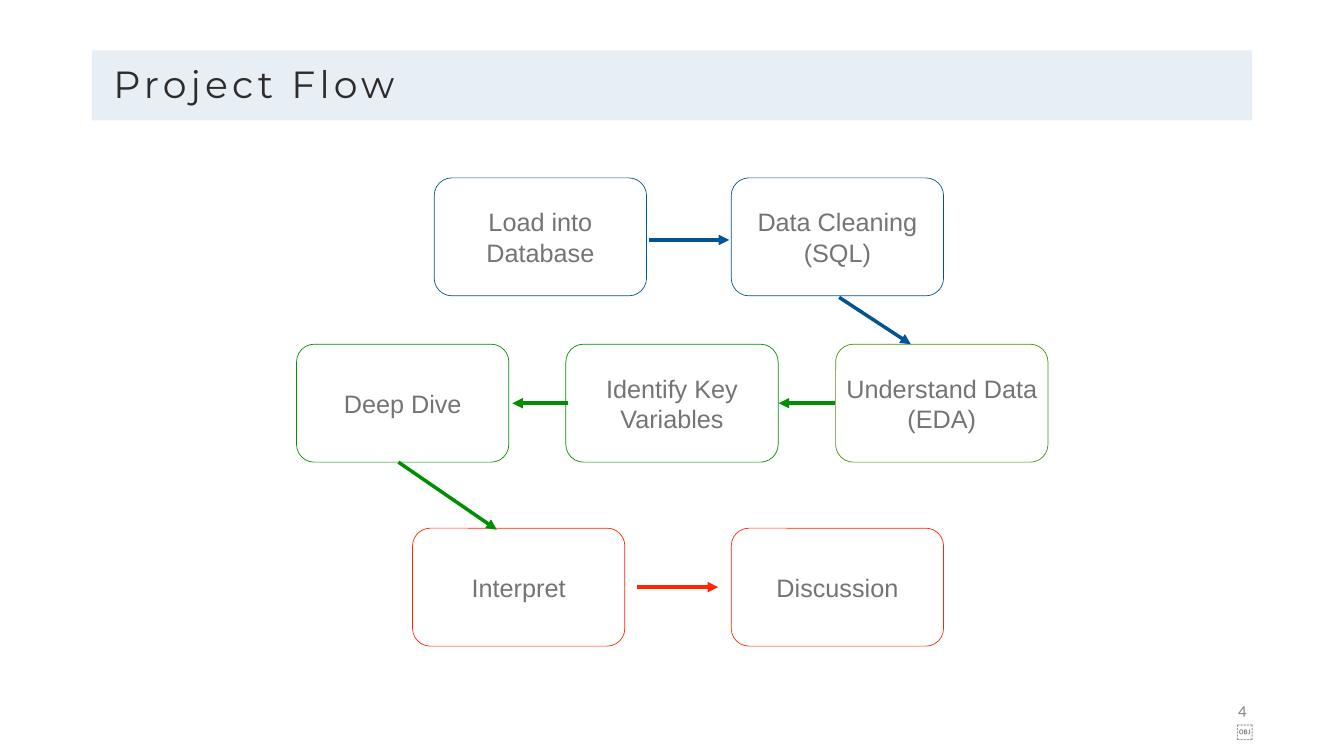
"""Build the Project Flow slide: seven steps in three rows, joined by arrows."""
import pptx
import pptx.dml.color
import pptx.enum.shapes
import pptx.enum.text
import pptx.util
from lxml import etree
from pptx.oxml.ns import qn

Inches = pptx.util.Inches
Pt = pptx.util.Pt
RGBColor = pptx.dml.color.RGBColor
Shape = pptx.enum.shapes.MSO_SHAPE
Align = pptx.enum.text.PP_ALIGN
Anchor = pptx.enum.text.MSO_ANCHOR

BAND = RGBColor(0xA7, 0xC0, 0xD5)
WHITE = RGBColor(0xFF, 0xFF, 0xFF)
INK = RGBColor(0x2B, 0x2C, 0x2B)
GREY = RGBColor(0x73, 0x75, 0x72)
PALE_GREY = RGBColor(0x88, 0x88, 0x88)
BLUE = RGBColor(0x00, 0x54, 0x93)
OLIVE = RGBColor(0x4F, 0x8F, 0x00)
GREEN = RGBColor(0x00, 0x8F, 0x00)
RED = RGBColor(0xFF, 0x26, 0x00)

TITLE = "Project Flow"
PAGE_NUMBER = "4￼"
STEP_SIZE = (4.21, 2.34)
ROWS = [
    (3.53, [
        (8.61, BLUE, ["Load into Database"]),
        (14.5, BLUE, ["Data Cleaning (SQL)"]),
    ]),
    (6.83, [
        (16.57, OLIVE, ["Understand Data", "(EDA)"]),
        (11.22, GREEN, ["Identify Key Variables"]),
        (5.88, GREEN, ["Deep Dive"]),
    ]),
    (10.48, [
        (8.18, RED, ["Interpret"]),
        (14.5, RED, ["Discussion"]),
    ]),
]
ARROWS = [
    (BLUE, (12.86, 4.76), (14.46, 4.76)),
    (BLUE, (16.64, 5.9), (18.06, 6.83)),
    (GREEN, (16.56, 8), (15.44, 8)),
    (GREEN, (11.27, 8), (10.16, 8)),
    (GREEN, (7.9, 9.17), (9.85, 10.51)),
    (RED, (12.64, 11.65), (14.24, 11.65)),
]


def add_box(slide, kind, bounds, fill, line=None):
    shape = slide.shapes.add_shape(kind, *map(Inches, bounds))
    shape.shadow.inherit = False
    shape.fill.solid()
    shape.fill.fore_color.rgb = fill
    if line is None:
        shape.line.fill.background()
    else:
        shape.line.color.rgb = line
        shape.line.width = Pt(1)
    return shape


def write(shape, lines, font, size, color, align, anchor, inset=0.05, spacing=0):
    frame = shape.text_frame
    frame.word_wrap = True
    frame.vertical_anchor = anchor
    frame.margin_left = frame.margin_right = Inches(inset)
    frame.margin_top = frame.margin_bottom = Inches(inset)
    for index, line in enumerate(lines):
        paragraph = frame.add_paragraph() if index else frame.paragraphs[0]
        paragraph.alignment = align
        run = paragraph.add_run()
        run.text = line
        run.font.name = font
        run.font.size = Pt(size)
        run.font.color.rgb = color
        if spacing:
            run._r.get_or_add_rPr().set("spc", str(spacing * 100))


def add_arrow(slide, color, start, end):
    arrow = slide.shapes.add_connector(
        pptx.enum.shapes.MSO_CONNECTOR.STRAIGHT, *map(Inches, start + end))
    arrow.line.color.rgb = color
    arrow.line.width = Pt(5)
    etree.SubElement(arrow.line._get_or_add_ln(), qn("a:tailEnd"), type="triangle")
    etree.SubElement(arrow._element.spPr, qn("a:effectLst"))


def main():
    presentation = pptx.Presentation()
    presentation.slide_width = Inches(26.65)
    presentation.slide_height = Inches(15)
    slide = presentation.slides.add_slide(presentation.slide_layouts[6])

    band = add_box(slide, Shape.RECTANGLE, (1.82, 1, 23.01, 1.39), BAND)
    band_color = band._element.spPr.find(qn("a:solidFill"))[0]
    etree.SubElement(band_color, qn("a:alpha"), val="25000")

    title = slide.shapes.add_textbox(*map(Inches, (2.2, 1.15, 7.96, 2.66)))
    write(title, [TITLE], "Montserrat", 54, INK, Align.LEFT, Anchor.TOP, spacing=6)
    number = slide.shapes.add_textbox(*map(Inches, (24.42, 14, 0.4, 0.6)))
    write(number, [PAGE_NUMBER], "Calibri", 24, PALE_GREY, Align.RIGHT,
          Anchor.MIDDLE, inset=0.1)

    for top, steps in ROWS:
        for left, color, lines in steps:
            step = add_box(slide, Shape.ROUNDED_RECTANGLE,
                           (left, top, *STEP_SIZE), WHITE, color)
            step.adjustments[0] = 0.15
            write(step, lines, "Arial", 36, GREY, Align.CENTER, Anchor.MIDDLE)

    for color, start, end in ARROWS:
        add_arrow(slide, color, start, end)

    presentation.save("out.pptx")


if __name__ == "__main__":
    main()
